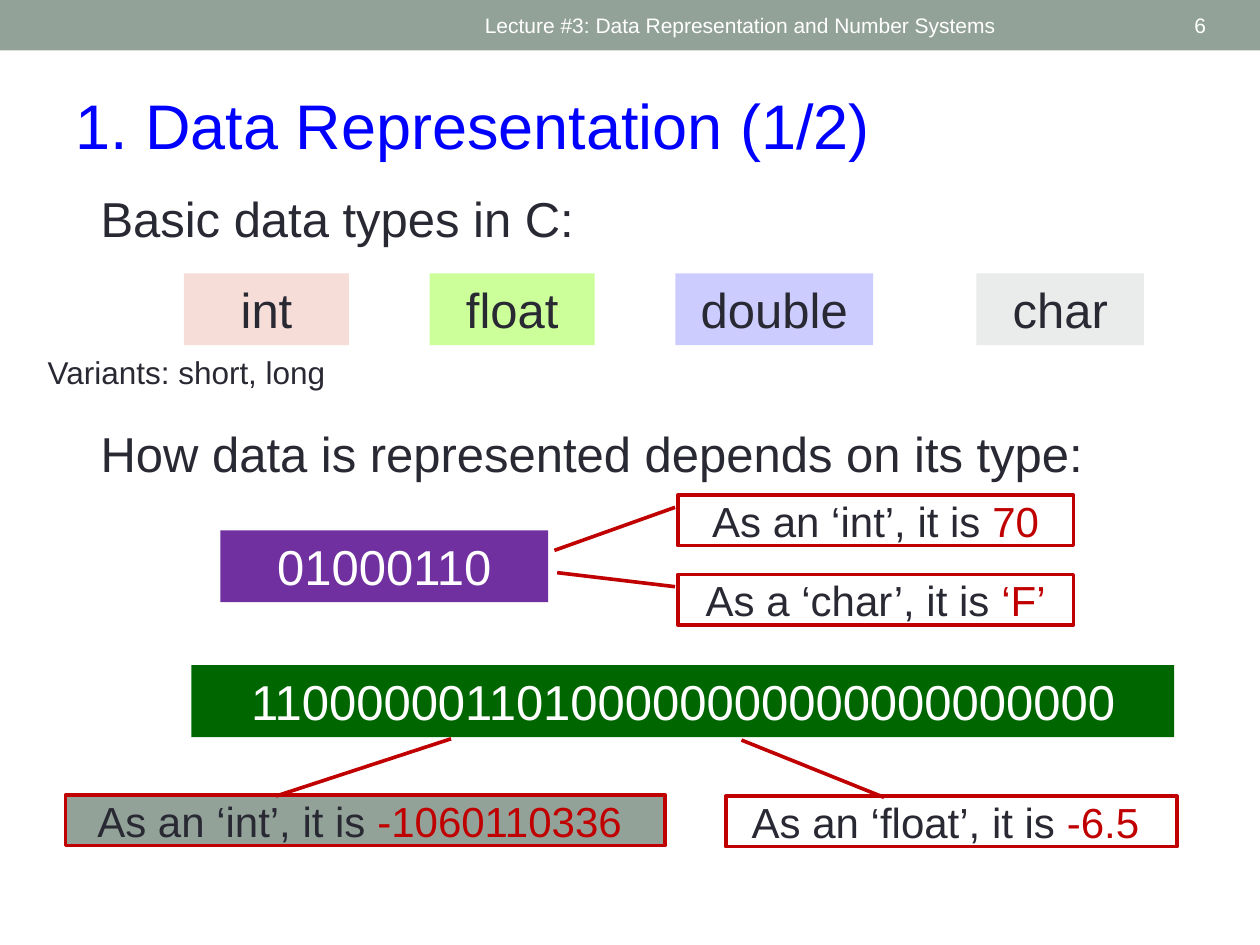
import pptx
import pptx.util
import pptx.dml.color
import pptx.enum.shapes
import pptx.enum.text

Inches = pptx.util.Inches
Shape = pptx.enum.shapes.MSO_SHAPE
Anchor = pptx.enum.text.MSO_ANCHOR
Align = pptx.enum.text.PP_ALIGN

COLORS = {
    "sage": "93A299", "white": "FFFFFF", "title": "0000FF", "ink": "292934",
    "red": "C00000", "pink": "F6DDD8", "lime": "CCFF99", "lavender": "CCCCFF",
    "mist": "E9ECEB", "purple": "7030A0", "green": "006600",
}


def rgb(name):
    return pptx.dml.color.RGBColor.from_string(COLORS[name])


def write_text(shape, *runs, size=28, color="ink", align=Align.LEFT,
               anchor=Anchor.TOP, grow=True):
    """Each run is a string, or a (string, color) pair."""
    frame = shape.text_frame
    frame.word_wrap = True
    frame.vertical_anchor = anchor
    if grow:
        frame.auto_size = pptx.enum.text.MSO_AUTO_SIZE.SHAPE_TO_FIT_TEXT
    paragraph = frame.paragraphs[0]
    paragraph.alignment = align
    for item in runs:
        text, run_color = (item, color) if isinstance(item, str) else item
        run = paragraph.add_run()
        run.text = text
        run.font.name = "Arial"
        run.font.size = pptx.util.Pt(size)
        run.font.color.rgb = rgb(run_color)


def add_label(slide, box, text, **text_format):
    shape = slide.shapes.add_textbox(*map(Inches, box))
    write_text(shape, text, **text_format)


def add_preset(slide, kind, box, fill=None, line=None):
    shape = slide.shapes.add_shape(kind, *map(Inches, box))
    shape.shadow.inherit = False
    if fill:
        shape.fill.solid()
        shape.fill.fore_color.rgb = rgb(fill)
    else:
        shape.fill.background()
    if line:
        shape.line.color.rgb = rgb(line)
        shape.line.width = pptx.util.Pt(2.08)
    else:
        shape.line.fill.background()
    return shape


def add_block(slide, box, text, fill, color="ink"):
    shape = add_preset(slide, Shape.RECTANGLE, box, fill)
    write_text(shape, text, color=color, align=Align.CENTER)


def add_callout(slide, box, pointer, text, value, fill=None):
    shape = add_preset(slide, Shape.LINE_CALLOUT_1, box, fill, line="red")
    for index, adjustment in enumerate(pointer):
        shape.adjustments[index] = adjustment
    write_text(shape, text, (value, "red"), size=24, align=Align.CENTER,
               anchor=Anchor.MIDDLE, grow=False)


def main():
    presentation = pptx.Presentation()
    presentation.slide_width = Inches(10)
    presentation.slide_height = Inches(7.5)
    slide = presentation.slides.add_slide(presentation.slide_layouts[6])

    # Header band with lecture name and page number
    add_preset(slide, Shape.RECTANGLE, (0, 0, 10, 0.4), "sage")
    header = dict(size=12, color="white", anchor=Anchor.MIDDLE, grow=False)
    add_label(slide, (3.75, 0.02, 4.5, 0.36),
              "Lecture #3: Data Representation and Number Systems", **header)
    add_label(slide, (8.72, 0.02, 0.95, 0.36), "6", align=Align.RIGHT, **header)

    # Title
    add_label(slide, (0.5, 0.64, 9, 0.71), "1. Data Representation (1/2)",
              size=36, color="title")

    # Basic data types
    add_label(slide, (0.7, 1.45, 4.3, 0.57), "Basic data types in C:")
    for left, width, name, fill in (
        (1.46, 1.31, "int", "pink"),
        (3.41, 1.31, "float", "lime"),
        (5.36, 1.57, "double", "lavender"),
        (7.75, 1.33, "char", "mist"),
    ):
        add_block(slide, (left, 2.17, width, 0.57), name, fill)
    add_label(slide, (0.28, 2.75, 2.49, 0.4), "Variants: short, long", size=18)

    # Bit patterns
    add_label(slide, (0.7, 3.31, 8.38, 0.57),
              "How data is represented depends on its type:")
    add_block(slide, (1.75, 4.21, 2.6, 0.57), "01000110", "purple", "white")
    add_block(slide, (1.52, 5.28, 7.8, 0.57),
              "11000000110100000000000000000000", "green", "white")

    # Readings of each pattern by type
    add_callout(slide, (5.38, 3.93, 3.14, 0.4), (0.243, -0.007, 1.097, -0.312),
                "As an ‘int’, it is ", "70")
    add_callout(slide, (5.38, 4.56, 3.14, 0.4), (0.243, -0.007, -0.037, -0.305),
                "As a ‘char’, it is ", "‘F’")
    add_callout(slide, (0.52, 6.31, 4.76, 0.4), (0.022, 0.351, -1.116, 0.643),
                "As an ‘int’, it is ", "-1060110336 ", fill="sage")
    add_callout(slide, (5.76, 6.32, 3.58, 0.4), (0.022, 0.351, -1.116, 0.035),
                "As an ‘float’, it is ", "-6.5 ")

    presentation.save("out.pptx")


if __name__ == "__main__":
    main()
